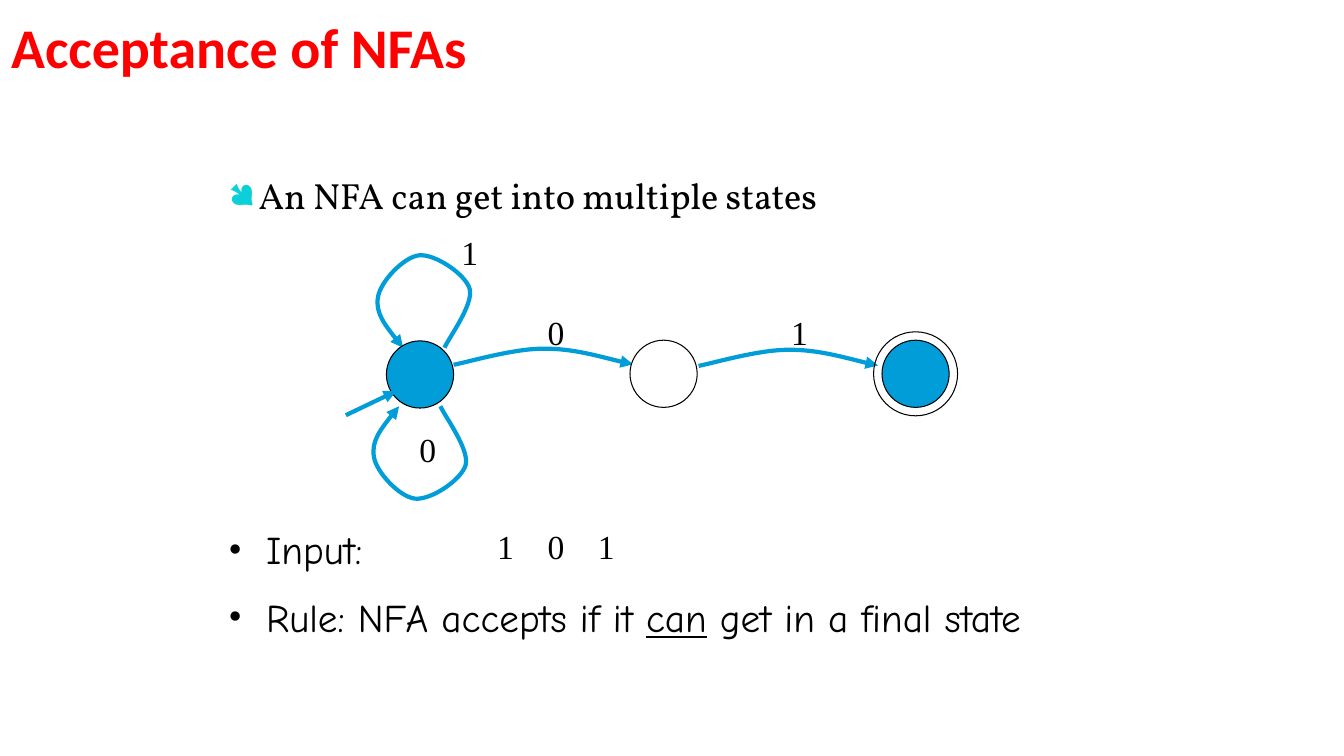
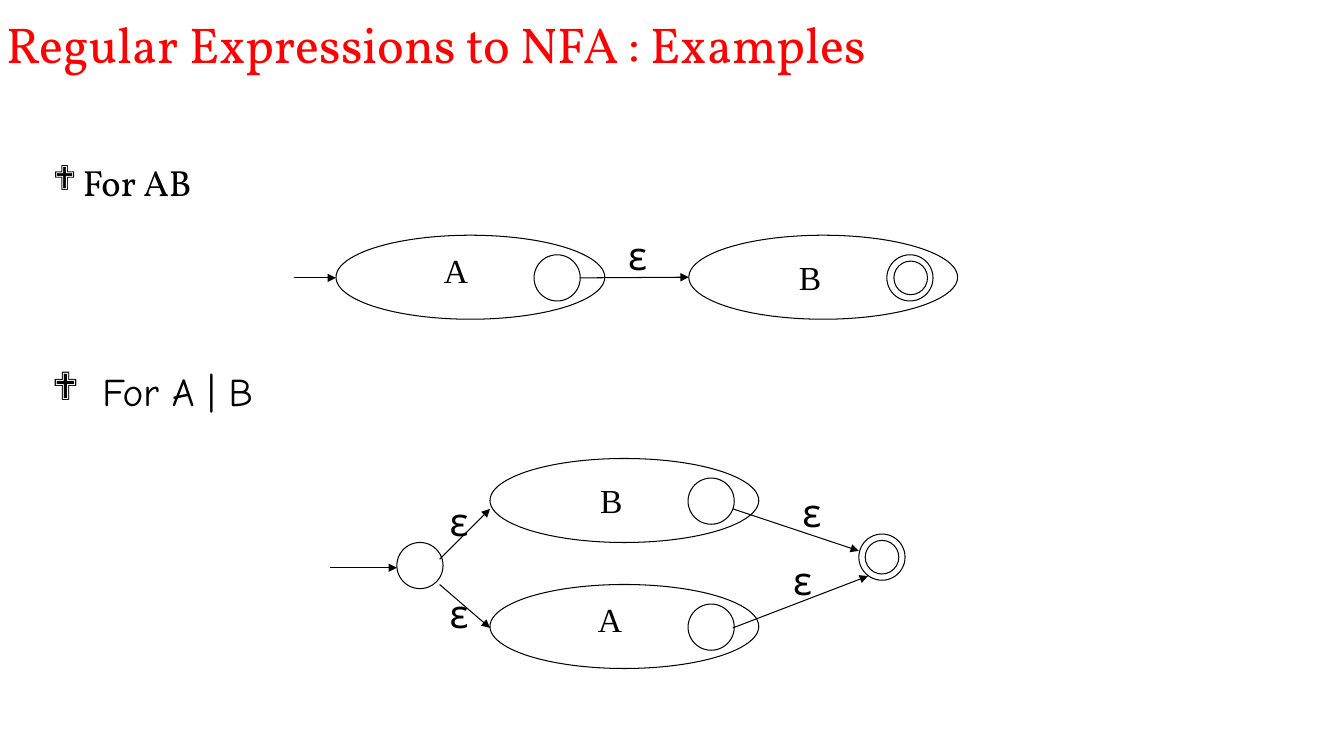
from lxml import etree
from pptx import Presentation
from pptx.dml.color import RGBColor
from pptx.enum.shapes import MSO_CONNECTOR, MSO_SHAPE
from pptx.enum.text import MSO_ANCHOR
from pptx.oxml.ns import qn
from pptx.util import Pt

RED = RGBColor(0xFF, 0x00, 0x00)
BLACK = RGBColor(0x00, 0x00, 0x00)
WHITE = RGBColor(0xFF, 0xFF, 0xFF)
BLUE = RGBColor(0x00, 0x9D, 0xD9)
CYAN = RGBColor(0x0B, 0xD0, 0xD9)

TITLE_SANS = {"name": "Calibri", "size": Pt(40), "bold": True}
TITLE_SERIF = {"name": "Vollkorn", "size": Pt(36)}
BODY_SERIF = {"name": "Vollkorn", "size": Pt(26)}
BODY_HAND = {"name": "Comic Neue", "size": Pt(28)}
LABEL = {"name": "Times New Roman", "size": Pt(24)}
BULLET_FONTS = {"●": "Wingdings", "❖": "Wingdings", "•": "Times New Roman"}


def add_text(page, at, pieces, font, color=BLACK, bullet=None, wrap=True):
    """Add a one-paragraph text box; bullet is (symbol, indent, colour, percent)."""
    box = page.shapes.add_textbox(*map(Pt, at))
    box.text_frame.word_wrap = wrap
    para = box.text_frame.paragraphs[0]
    if bullet:
        symbol, indent, bullet_color, percent = bullet
        properties = para._p.get_or_add_pPr()
        properties.set("marL", str(Pt(indent)))
        properties.set("indent", str(-Pt(indent)))
        bullet_fill = etree.SubElement(properties, qn("a:buClr"))
        etree.SubElement(bullet_fill, qn("a:srgbClr"), val=str(bullet_color))
        etree.SubElement(properties, qn("a:buSzPct"), val=str(percent * 1000))
        etree.SubElement(properties, qn("a:buFont"), typeface=BULLET_FONTS[symbol])
        etree.SubElement(properties, qn("a:buChar"), char=symbol)
    for piece in pieces:
        span = para.add_run()
        span.text = piece
        span.font.color.rgb = color
        for key, value in font.items():
            setattr(span.font, key, value)
    return box


def set_outline(shape, color=BLACK, width=0.75, arrow=False):
    """Draw a plain outline without shadow, with an arrowhead at the end if asked."""
    shape.line.color.rgb = color
    shape.line.width = Pt(width)
    properties = shape._element.spPr
    if arrow:
        etree.SubElement(properties.find(qn("a:ln")), qn("a:tailEnd"), type="triangle")
    etree.SubElement(properties, qn("a:effectLst"))


deck = Presentation()
deck.slide_width, deck.slide_height = Pt(960), Pt(540)
acceptance, examples = [deck.slides.add_slide(deck.slide_layouts[6]) for _ in range(2)]

# Titles
for page, at, title, font in [
    (acceptance, (8, -33, 648, 90), "Acceptance of NFAs", TITLE_SANS),
    (examples, (4.5, 7.5, 648, 45), "Regular Expressions to NFA : Examples", TITLE_SERIF),
]:
    frame = add_text(page, at, [title], font, RED).text_frame
    frame.vertical_anchor = MSO_ANCHOR.BOTTOM
    frame.margin_left = frame.margin_right = frame.margin_bottom = 0

# Bulleted lines
rule = ["Rule: NFA accepts if it ", "can", " get in a final state"]
for page, at, pieces, font, bullet in [
    (acceptance, (156, 120, 654, 66), ["An NFA can get into multiple states"],
     BODY_SERIF, ("●", 21.6, CYAN, 95)),
    (acceptance, (156, 372, 132, 42), ["Input:"], BODY_HAND, ("•", 27, BLACK, 100)),
    (acceptance, (156, 420, 648, 42), rule, BODY_HAND, ("•", 27, BLACK, 100)),
    (examples, (30.5, 111, 654, 42), ["For AB"], BODY_SERIF, ("❖", 21.6, BLACK, 95)),
    (examples, (30, 259, 654, 42), ["For A | B"], BODY_HAND, ("❖", 36, BLACK, 100)),
]:
    box = add_text(page, at, pieces, font, bullet=bullet)
    if pieces is rule:
        box.text_frame.paragraphs[0].runs[1].font.underline = True

# Curved transitions: Bezier control points relative to the start
LOOP = [(0, 0), (3, -7), (21, -31), (18, -42), (15, -52.5), (-6.5, -67), (-18, -66),
        (-29, -65), (-46, -47), (-47.5, -36), (-49.5, -25), (-39.5, -12), (-29.5, 0)]
ARC = [(0, 0), (10.5, -2), (42.5, -11.5), (64, -11.5),
       (85.5, -11.8), (114.5, -3), (128.2, -0.3)]
for left, top, controls, direction in [
    (317.5, 248.4, LOOP, 1),
    (314.6, 290.2, LOOP, -1),
    (324, 260.6, ARC, 1),
    (499, 261.4, ARC, 1),
]:
    points = [(Pt(left + x), Pt(top + direction * y)) for x, y in controls]
    builder = acceptance.shapes.build_freeform(*points[0])
    builder.add_line_segments(points[1:], close=False)
    curve = builder.convert_to_shape()
    # Every three straight segments become one cubic curve
    segments = list(curve._element.iter(qn("a:lnTo")))
    for first in range(0, len(segments), 3):
        cubic = etree.Element(qn("a:cubicBezTo"))
        segments[first].addprevious(cubic)
        for segment in segments[first:first + 3]:
            cubic.append(segment[0])
            segment.getparent().remove(segment)
    curve.fill.background()
    set_outline(curve, BLUE, 3, arrow=True)

# States, and the sub-automata with their last state
ovals = [
    (acceptance, 624, 237, 60, 60, None),
    (acceptance, 630, 243, 48, 48, BLUE),
    (acceptance, 276, 243.5, 48, 48, BLUE),
    (acceptance, 450, 243, 48, 48, WHITE),
    (examples, 283.5, 387.5, 33, 33, None),
    (examples, 613.5, 381.5, 33, 33, None),
    (examples, 618, 386, 24, 24, None),
    (examples, 638.5, 186.5, 24, 24, None),
]
labels = []
LETTER_OFFSETS = {"A": (70, 7), "B": (71.5, 12)}
for letter, left, top in [("A", 240, 168), ("B", 492, 168),
                          ("B", 350, 327.5), ("A", 350, 417.5)]:
    ovals.append((examples, left, top, 192, 60, None))
    ovals.append((examples, left + 141.5, top + 14, 33, 33, None))
    across, down = LETTER_OFFSETS[letter]
    labels.append((examples, letter, left + across, top + down, 32, LABEL))

for page, left, top, width, height, color in ovals:
    oval = page.shapes.add_shape(MSO_SHAPE.OVAL, Pt(left), Pt(top), Pt(width), Pt(height))
    if color is None:
        oval.fill.background()
    else:
        oval.fill.solid()
        oval.fill.fore_color.rgb = color
    set_outline(oval)

# Straight transitions
for page, ends, color, width in [
    (acceptance, (247, 296.6, 283, 279.4), BLUE, 3),
    (examples, (210, 198.5, 240, 198.5), BLACK, 0.75),
    (examples, (414, 198.5, 492, 198), BLACK, 0.75),
    (examples, (235.5, 405.5, 283.5, 405.5), BLACK, 0.75),
    (examples, (314, 399.5, 350, 363.5), BLACK, 0.75),
    (examples, (314, 417.5, 350, 448.5), BLACK, 0.75),
    (examples, (523.5, 363.5, 613.5, 393.5), BLACK, 0.75),
    (examples, (523.5, 448.5, 620, 411.5), BLACK, 0.75),
]:
    arrow = page.shapes.add_connector(MSO_CONNECTOR.STRAIGHT, *map(Pt, ends))
    set_outline(arrow, color, width, arrow=True)

# Transition labels and input symbols
for symbol, left, top in [("0", 384, 219), ("1", 322.5, 162), ("1", 558, 219),
                          ("0", 292.5, 302.5), ("1", 348, 372), ("0", 384, 372),
                          ("1", 420, 372)]:
    labels.append((acceptance, symbol, left, top, 27, LABEL))
for left, top in [(441.5, 162), (314, 351.5), (314, 417.5), (566, 345.5), (559.5, 394)]:
    labels.append((examples, "ε", left, top, 27, BODY_HAND))
for page, symbol, left, top, width, font in labels:
    add_text(page, (left, top, width, 36), [symbol], font, wrap=False)

deck.save("out.pptx")
